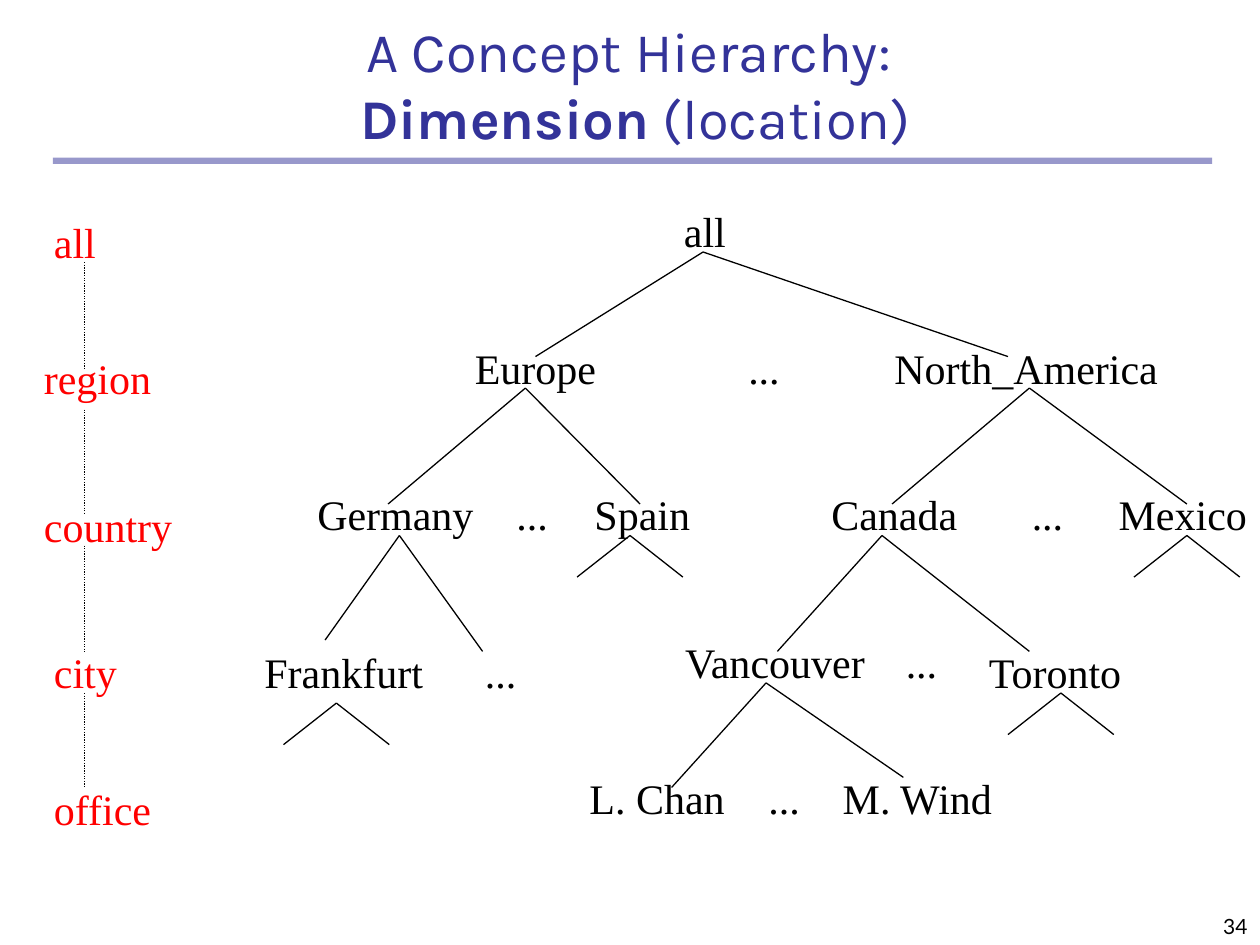
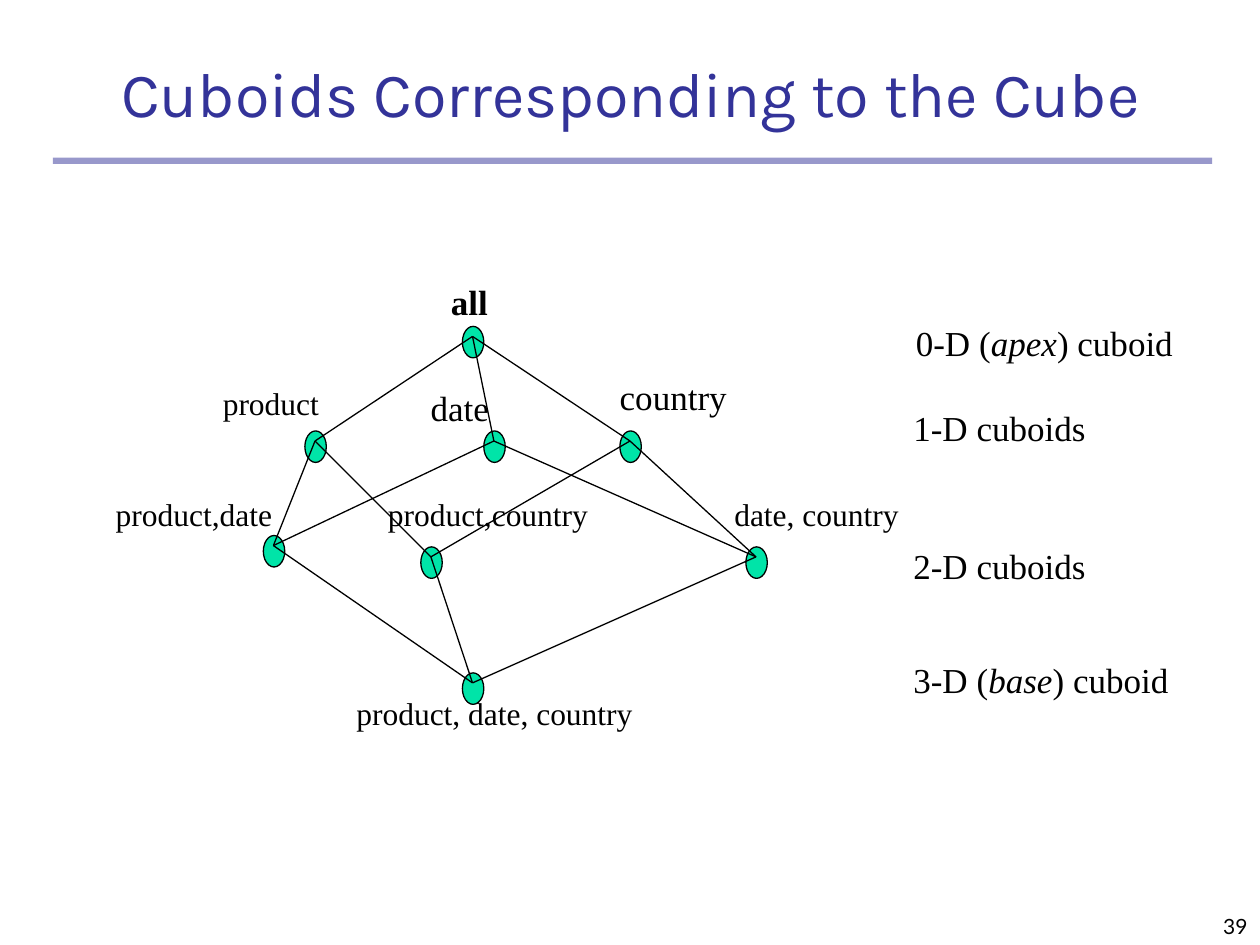
from itertools import permutations

from lxml import etree
from pptx import Presentation
from pptx.dml.color import RGBColor
from pptx.enum.dml import MSO_LINE
from pptx.enum.shapes import MSO_CONNECTOR, MSO_SHAPE
from pptx.enum.text import MSO_ANCHOR, MSO_AUTO_SIZE, PP_ALIGN
from pptx.oxml.ns import qn
from pptx.util import Inches, Pt

RECTANGLE = MSO_SHAPE.RECTANGLE
NODE_SHAPE = MSO_SHAPE.FLOWCHART_CONNECTOR
STRAIGHT = MSO_CONNECTOR.STRAIGHT
DOTTED = MSO_LINE.ROUND_DOT
LEFT, CENTER, RIGHT = PP_ALIGN.LEFT, PP_ALIGN.CENTER, PP_ALIGN.RIGHT
TOP, BOTTOM = MSO_ANCHOR.TOP, MSO_ANCHOR.BOTTOM
FIXED, GROW = MSO_AUTO_SIZE.NONE, MSO_AUTO_SIZE.SHAPE_TO_FIT_TEXT

NAVY, BLACK, RED, GREEN = "333399", "000000", "FF0000", "00E4A8"
TITLE_FONT, NUMBER_FONT, BODY_FONT = "Karla", "Lato", "Times New Roman"


def color(hex_string):
    return RGBColor.from_string(hex_string)


def write(frame, spans, *, size, font=BODY_FONT, ink=BLACK, align=LEFT,
          anchor=TOP, wrap=False, fit=GROW):
    """Fill a frame with a string or a list of (text, style) spans; style is "", "b" or "i"."""
    frame.auto_size = fit
    frame.word_wrap = wrap
    frame.vertical_anchor = anchor
    if not wrap:
        # Leave slack so that a tight label stays on one line
        frame.margin_right = Inches(0.05)
    para = frame.paragraphs[0]
    para.alignment = align
    for text, style in [(spans, "")] if isinstance(spans, str) else spans:
        if text == "\n":
            para.add_line_break()
            continue
        span = para.add_run()
        span.text = text
        span.font.name = font
        span.font.size = Pt(size)
        span.font.color.rgb = color(ink)
        span.font.bold = style == "b"
        span.font.italic = style == "i"


class Deck:
    def __init__(self):
        self.file = Presentation()
        self.file.slide_width = Inches(10)
        self.file.slide_height = Inches(7.5)
        self.page = None

    def add_page(self, title, place, size, number):
        self.page = self.file.slides.add_slide(self.file.slide_layouts[5])
        heading = self.page.shapes.title
        heading.left, heading.top, heading.width, heading.height = map(Inches, place)
        heading.text_frame.margin_top = heading.text_frame.margin_bottom = Inches(0.05)
        write(heading.text_frame, title, size=size, font=TITLE_FONT, ink=NAVY,
              align=CENTER, anchor=BOTTOM, wrap=True, fit=FIXED)
        band = self.shape(RECTANGLE, 0.42, 1.25, 9.2, 0.05, NAVY)
        band.line.fill.background()
        fill_color = band.fill._xPr.find(qn("a:solidFill"))[0]
        etree.SubElement(fill_color, qn("a:alpha"), val="50000")
        self.text(number, 7.92, 7, 2.08, 0.5, size=12, font=NUMBER_FONT,
                  align=RIGHT, anchor=BOTTOM, wrap=True, fit=FIXED)

    def text(self, spans, left, top, width, height, **style):
        box = self.page.shapes.add_textbox(*map(Inches, (left, top, width, height)))
        write(box.text_frame, spans, **style)

    def shape(self, kind, left, top, width, height, fill):
        box = self.page.shapes.add_shape(kind, *map(Inches, (left, top, width, height)))
        box.shadow.inherit = False
        box.fill.solid()
        box.fill.fore_color.rgb = color(fill)
        return box

    def node(self, x, y):
        dot = self.shape(NODE_SHAPE, x - 0.08, y - 0.08, 0.17, 0.25, GREEN)
        dot.line.color.rgb = color(BLACK)
        dot.line.width = Pt(0.75)

    def line(self, start, end, dash=None):
        link = self.page.shapes.add_connector(STRAIGHT, *map(Inches, (*start, *end)))
        link.line.color.rgb = color(BLACK)
        link.line.width = Pt(0.75)
        if dash:
            link.line.dash_style = dash
        etree.SubElement(link._element.spPr, qn("a:effectLst"))

    def fork(self, apex, feet):
        for foot in feet:
            self.line(apex, foot)


def add_hierarchy(deck):
    deck.add_page([("A Concept Hierarchy: ", ""), ("\n", ""), ("Dimension", "b"),
                   (" (location)", "")], (0.67, 0.58, 8.75, 0.67), 32, "34")

    # Members of the tree: text, left, top, width
    members = [
        ("all", 5.33, 1.58, 0.53),
        ("Europe", 3.67, 2.67, 1.16), ("North_America", 7, 2.67, 2.29),
        ("Germany", 2.42, 3.83, 1.44), ("Spain", 4.62, 3.83, 0.96),
        ("Canada", 6.5, 3.83, 1.2), ("Mexico", 8.78, 3.83, 1.22),
        ("Frankfurt", 2, 5.08, 1.46), ("Vancouver", 5.34, 5, 1.66),
        ("Toronto", 7.75, 5.08, 1.27),
        ("L. Chan", 4.58, 6.08, 1.27), ("M. Wind", 6.59, 6.08, 1.4),
    ]
    gaps = [(5.84, 2.67), (4, 3.83), (8.09, 3.83), (3.75, 5.08), (7.09, 5), (6, 6.08)]
    members += [("...", left, top, 0.45) for left, top in gaps]
    for name, left, top, width in members:
        deck.text(name, left, top, width, 0.5, size=24)

    # Branches to named members
    branches = {
        (5.58, 2): [(4.25, 2.83), (8, 2.83)],
        (4.17, 3.08): [(3.08, 4), (5.08, 4)],
        (8.17, 3.08): [(7.08, 4), (9.42, 4)],
        (3.17, 4.25): [(2.58, 5.08), (3.83, 5.17)],
        (7, 4.25): [(6.17, 5.17), (8.17, 5.17)],
        (6.08, 5.42): [(5.33, 6.25), (7.17, 6.17)],
    }
    for apex, feet in branches.items():
        deck.fork(apex, feet)

    # Short branches below members that are not expanded
    for x, y in [(5, 4.25), (9.42, 4.25), (2.67, 5.58), (8.42, 5.5)]:
        deck.fork((x, y), [(x - 0.42, y + 0.33), (x + 0.42, y + 0.33)])

    # Level names and the dotted lines between them
    levels = [("all", 0.33, 1.67, 0.53), ("region", 0.25, 2.75, 1.05),
              ("country", 0.25, 3.92, 1.22), ("city", 0.33, 5.08, 0.7),
              ("office", 0.33, 6.17, 0.97)]
    for name, left, top, width in levels:
        deck.text(name, left, top, width, 0.5, size=24, ink=RED)
    for top, bottom in [(2.08, 2.92), (3.25, 4.08), (4.33, 5.17), (5.5, 6.25)]:
        deck.line((0.67, top), (0.67, bottom), DOTTED)


def add_cuboids(deck):
    deck.add_page("Cuboids Corresponding to the Cube", (0.42, 0.33, 9.17, 0.75), 36, "39")

    # Cuboids, each known by its dimensions
    cuboids = {
        frozenset(): (3.75, 2.67),
        frozenset({"product"}): (2.5, 3.5),
        frozenset({"date"}): (3.92, 3.5),
        frozenset({"country"}): (5, 3.5),
        frozenset({"product", "date"}): (2.17, 4.33),
        frozenset({"product", "country"}): (3.42, 4.42),
        frozenset({"date", "country"}): (6, 4.42),
        frozenset({"product", "date", "country"}): (3.75, 5.42),
    }
    for x, y in cuboids.values():
        deck.node(x, y)

    # A line joins two cuboids when one has exactly one dimension more
    for upper, lower in permutations(cuboids, 2):
        if upper < lower and len(lower) - len(upper) == 1:
            deck.line(cuboids[upper], cuboids[lower])

    # Cuboid names: text, left, top, width, size
    names = [
        ([("all", "b")], 3.48, 2.18, 0.49, 20),
        ("product", 1.67, 3, 0.96, 18),
        ("date", 3.32, 3.02, 0.66, 20),
        ("country", 4.82, 2.93, 1.05, 20),
        ("product,date", 0.82, 3.88, 1.44, 18),
        ("product,country", 2.98, 3.88, 1.79, 18),
        ("date, country", 5.73, 3.88, 1.5, 18),
        ("product, date, country", 2.73, 5.46, 2.39, 18),
    ]
    # Captions of the lattice levels
    captions = [
        ([("0-D (", ""), ("apex", "i"), (") cuboid", "")], 7.17, 2.5, 2.24, 20),
        ("1-D cuboids", 7.15, 3.18, 1.57, 20),
        ("2-D cuboids", 7.15, 4.27, 1.57, 20),
        ([("3-D (", ""), ("base", "i"), (") cuboid", "")], 7.15, 5.18, 2.22, 20),
    ]
    for spans, left, top, width, size in names + captions:
        deck.text(spans, left, top, width, 0.44 if size == 20 else 0.4, size=size)


def main():
    deck = Deck()
    add_hierarchy(deck)
    add_cuboids(deck)
    deck.file.save("out.pptx")


if __name__ == "__main__":
    main()
